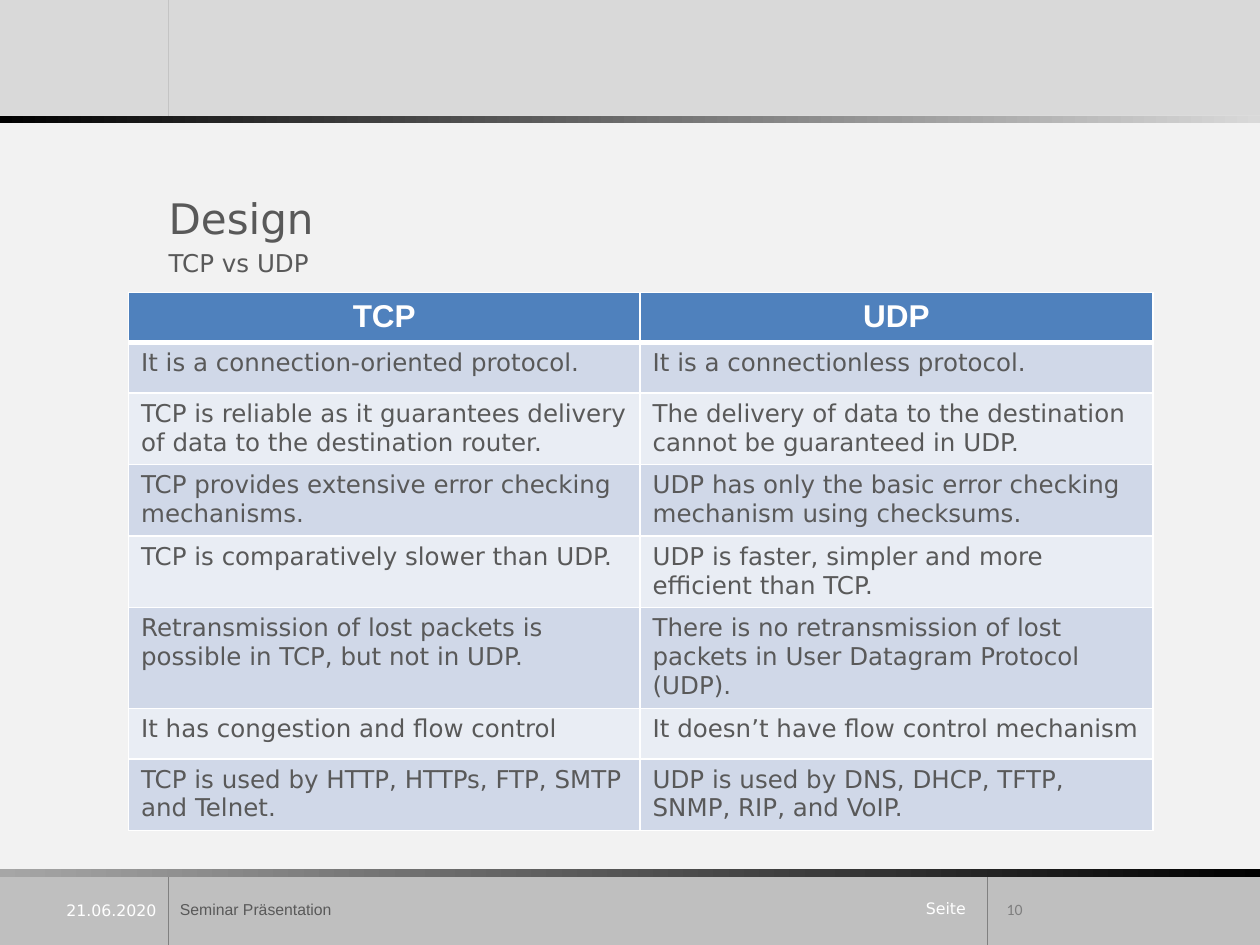
from dataclasses import dataclass

from lxml import etree
from pptx import Presentation
from pptx import util as u
from pptx.dml.color import RGBColor
from pptx.enum import shapes, text
from pptx.oxml.ns import qn

HEADING = [("Design", 24), ("TCP vs UDP", 14)]
COMPARISON = [
    ("TCP", "UDP"),
    ("It is a connection-oriented protocol.", "It is a connectionless protocol."),
    ("TCP is reliable as it guarantees delivery of data to the destination router.",
     "The delivery of data to the destination cannot be guaranteed in UDP."),
    ("TCP provides extensive error checking mechanisms.",
     "UDP has only the basic error checking mechanism using checksums."),
    ("TCP is comparatively slower than UDP.",
     "UDP is faster, simpler and more efficient than TCP."),
    ("Retransmission of lost packets is possible in TCP, but not in UDP.",
     "There is no retransmission of lost packets in User Datagram Protocol (UDP)."),
    ("It has congestion and flow control", "It doesn’t have flow control mechanism"),
    ("TCP is used by HTTP, HTTPs, FTP, SMTP and Telnet.",
     "UDP is used by DNS, DHCP, TFTP, SNMP, RIP, and VoIP."),
]


@dataclass(frozen=True)
class Theme:
    body: str = "DejaVu Sans"
    header_font: str = "Arial"
    number_font: str = "Calibri"
    ink: str = "595959"
    white: str = "FFFFFF"
    black: str = "000000"
    number: str = "7F7F7F"
    top: str = "D9D9D9"
    middle: str = "F2F2F2"
    bottom: str = "BFBFBF"
    bottom_fade: str = "A6A6A6"
    top_rule: str = "C4C4C4"
    bottom_rule: str = "808080"
    header: str = "4F81BD"
    stripes: tuple = ("D0D8E8", "E9EDF4")
    header_size: int = 18
    cell_size: int = 14
    footer_size: int = 9


THEME = Theme()
WIDTH, HEIGHT = 10, 7.5
TOP_END, FOOTER_TOP = 0.92, 6.93
BAR = 0.06
LEFT_RULE, RIGHT_RULE = 1.34, 7.84
TABLE_LEFT, TABLE_TOP = 1.02, 2.32
COLUMNS = (4.06, 4.07)
ROW = 0.4
LEFT, RIGHT = text.PP_ALIGN.LEFT, text.PP_ALIGN.RIGHT
TOP, MIDDLE = text.MSO_ANCHOR.TOP, text.MSO_ANCHOR.MIDDLE

# words, left, top, width, height, font, colour, alignment, anchor
FOOTER = [
    ("Seite", 7.25, 7.08, 0.57, 0.25, THEME.body, THEME.white, LEFT, TOP),
    ("Seminar Präsentation", 1.33, 7.02, 5.92, 0.4, THEME.header_font, THEME.ink, LEFT, MIDDLE),
    ("10", 7.89, 7.02, 1.61, 0.4, THEME.number_font, THEME.number, LEFT, MIDDLE),
    ("21.06.2020", 0.33, 7.03, 1.01, 0.39, THEME.body, THEME.white, RIGHT, MIDDLE),
]


def rgb(colour):
    return RGBColor.from_string(colour)


def add_band(slide, top, height, *colours):
    """Full-width band; two colours make a left-to-right gradient."""
    band = slide.shapes.add_shape(shapes.MSO_SHAPE.RECTANGLE, 0, u.Inches(top),
                                  u.Inches(WIDTH), u.Inches(height))
    band.shadow.inherit = False
    band.line.fill.background()
    if len(colours) == 1:
        band.fill.solid()
        band.fill.fore_color.rgb = rgb(colours[0])
    else:
        band.fill.gradient()
        band.fill.gradient_angle = 0
        for stop, colour in zip(band.fill.gradient_stops, colours):
            stop.color.rgb = rgb(colour)


def add_rule(slide, x, top, bottom, colour):
    rule = slide.shapes.add_connector(shapes.MSO_CONNECTOR.STRAIGHT, u.Inches(x),
                                      u.Inches(top), u.Inches(x), u.Inches(bottom))
    rule.line.color.rgb = rgb(colour)
    rule.line.width = u.Pt(0.5)
    etree.SubElement(rule._element.spPr, qn("a:effectLst"))


def add_run(paragraph, words, font, size, colour, bold=False):
    run = paragraph.add_run()
    run.text = words
    run.font.name = font
    run.font.size = u.Pt(size)
    run.font.color.rgb = rgb(colour)
    run.font.bold = bold


def add_box(slide, left, top, width, height, anchor=TOP):
    box = slide.shapes.add_textbox(*map(u.Inches, (left, top, width, height)))
    box.text_frame.word_wrap = True
    box.text_frame.vertical_anchor = anchor
    return box.text_frame


def set_borders(cell, **widths):
    properties = cell._tc.get_or_add_tcPr()
    for position, (side, points) in enumerate(widths.items()):
        line = etree.Element(qn(f"a:ln{side}"), w=str(u.Pt(points)))
        fill = etree.SubElement(line, qn("a:solidFill"))
        etree.SubElement(fill, qn("a:srgbClr"), val=THEME.white)
        properties.insert(position, line)


def add_comparison(slide):
    table = slide.shapes.add_table(
        len(COMPARISON), len(COLUMNS), u.Inches(TABLE_LEFT), u.Inches(TABLE_TOP),
        u.Inches(sum(COLUMNS)), u.Inches(ROW * len(COMPARISON))).table
    for column, width in zip(table.columns, COLUMNS):
        column.width = u.Inches(width)
    for r, protocols in enumerate(COMPARISON):
        is_header = r == 0
        for c, words in enumerate(protocols):
            cell = table.cell(r, c)
            cell.fill.solid()
            cell.fill.fore_color.rgb = rgb(THEME.header if is_header else THEME.stripes[(r - 1) % 2])
            set_borders(cell, L=1, R=1, T=3 if r == 1 else 1, B=3 if is_header else 1)
            paragraph = cell.text_frame.paragraphs[0]
            if is_header:
                paragraph.alignment = text.PP_ALIGN.CENTER
                add_run(paragraph, words, THEME.header_font, THEME.header_size, THEME.white, True)
            else:
                add_run(paragraph, words, THEME.body, THEME.cell_size, THEME.ink)


def main():
    deck = Presentation()
    deck.slide_width, deck.slide_height = u.Inches(WIDTH), u.Inches(HEIGHT)
    slide = deck.slides.add_slide(deck.slide_layouts[6])

    add_band(slide, 0, TOP_END, THEME.top)
    add_band(slide, TOP_END, FOOTER_TOP - TOP_END, THEME.middle)
    add_band(slide, FOOTER_TOP, HEIGHT - FOOTER_TOP, THEME.bottom)
    add_rule(slide, LEFT_RULE, 0, TOP_END, THEME.top_rule)
    for x in (LEFT_RULE, RIGHT_RULE):
        add_rule(slide, x, FOOTER_TOP, HEIGHT, THEME.bottom_rule)
    add_band(slide, TOP_END, BAR, THEME.black, THEME.top)
    add_band(slide, FOOTER_TOP - BAR / 2, BAR, THEME.bottom_fade, THEME.black)

    heading = add_box(slide, 1.24, 1.48, 7.92, 0.8)
    for i, (words, size) in enumerate(HEADING):
        paragraph = heading.add_paragraph() if i else heading.paragraphs[0]
        paragraph.space_before = u.Pt(0.2 * size if i else 0)
        add_run(paragraph, words, THEME.body, size, THEME.ink)

    for words, left, top, width, height, font, colour, alignment, anchor in FOOTER:
        paragraph = add_box(slide, left, top, width, height, anchor).paragraphs[0]
        paragraph.alignment = alignment
        add_run(paragraph, words, font, THEME.footer_size, colour)

    add_comparison(slide)
    deck.save("out.pptx")


if __name__ == "__main__":
    main()
